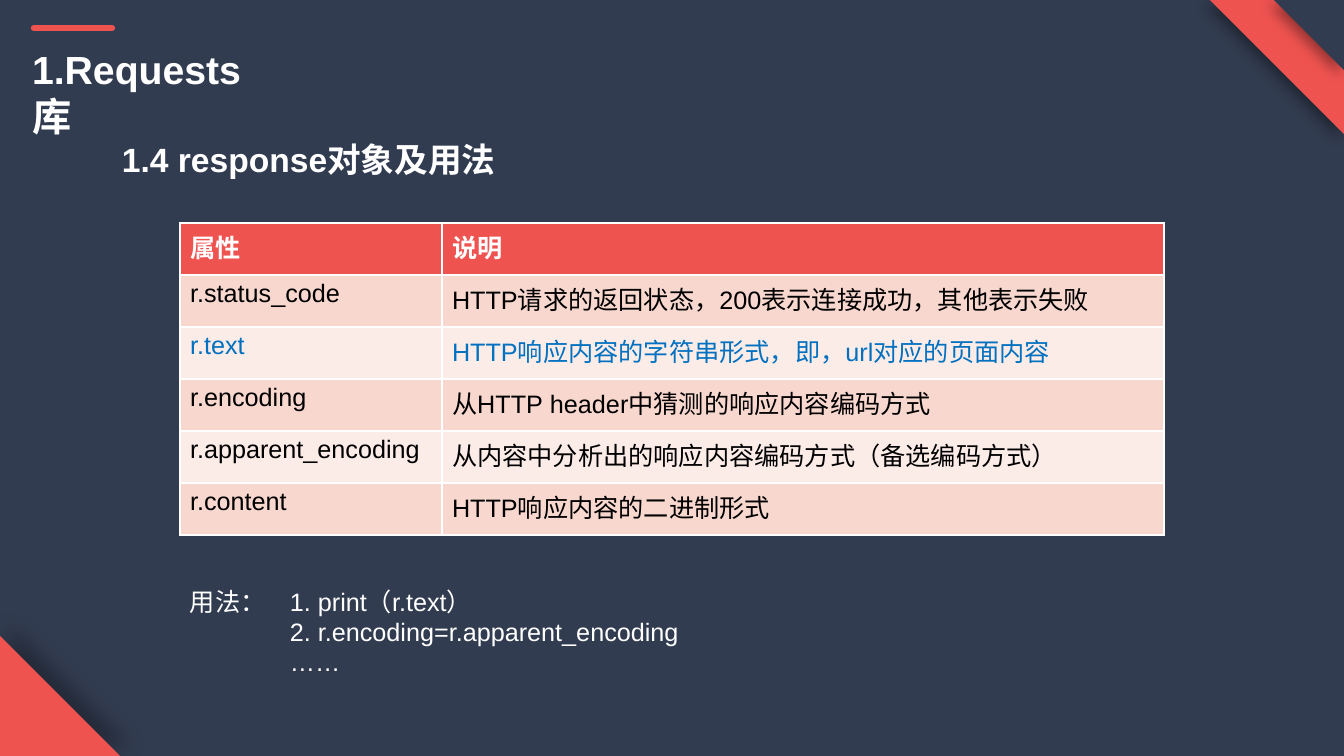
"""Build the slide on the response object of the Requests library."""
from lxml import etree
from pptx import Presentation, util as u
from pptx.dml.color import RGBColor
from pptx.enum import shapes, text
from pptx.oxml import parse_xml
from pptx.oxml.ns import nsdecls, qn

SCALE = 914400 / 100.8
NAVY, RED, WHITE, BLACK, BLUE = "323C50", "EF5350", "FFFFFF", "000000", "0070C0"
BANDS = ["F8D7CE", "FCECE8"]


def px(*lengths):
    return [u.Emu(round(length * SCALE)) for length in lengths]


def style(paragraph, size, color, bold=False):
    paragraph.font.name = "Arial"
    paragraph.font.size = u.Pt(size)
    paragraph.font.bold = bold
    paragraph.font.color.rgb = RGBColor.from_string(color)


deck = Presentation()
deck.slide_width, deck.slide_height = px(1344, 756)
page = deck.slides.add_slide(deck.slide_layouts[5])
page.background.fill.solid()
page.background.fill.fore_color.rgb = RGBColor.from_string(NAVY)

corners = [
    (1210, 0, 134, 180, RED, 40, 10, 5, 135),
    (0, 636, 120, 0, RED, 30, 15, 10, 315),
    (1274, 0, 70, 180, NAVY, 40, 10, 5, 135),
]
for left, top, side, turn, color, alpha, blur, distance, angle in corners:
    corner = page.shapes.add_shape(
        shapes.MSO_SHAPE.RIGHT_TRIANGLE, *px(left, top, side, side))
    corner.rotation = turn
    corner.fill.solid()
    corner.fill.fore_color.rgb = RGBColor.from_string(color)
    corner.line.fill.background()
    corner.shadow.inherit = False
    effects = corner._element.spPr.find(qn("a:effectLst"))
    effects.append(parse_xml(
        f'<a:outerShdw {nsdecls("a")} blurRad="{u.Pt(blur)}" dist="{u.Pt(distance)}" '
        f'dir="{angle * 60000}" algn="ctr" rotWithShape="0"><a:srgbClr val="{BLACK}">'
        f'<a:alpha val="{alpha * 1000}"/></a:srgbClr></a:outerShdw>'))

accent = page.shapes.add_connector(
    shapes.MSO_CONNECTOR.STRAIGHT, *px(34, 28, 112, 28))
accent.line.color.rgb = RGBColor.from_string(RED)
accent.line.width = u.Pt(4.5)
accent.line._ln.set("cap", "rnd")
etree.SubElement(accent._element.spPr, qn("a:effectLst"))

title = page.shapes.title
title.left, title.top, title.width, title.height = px(22, 40, 240, 57)
title.text_frame.text = "1.Requests库"
title.text_frame.word_wrap = True
title.text_frame.auto_size = text.MSO_AUTO_SIZE.NONE
title.text_frame.vertical_anchor = text.MSO_ANCHOR.TOP
title.text_frame.paragraphs[0].alignment = text.PP_ALIGN.LEFT
style(title.text_frame.paragraphs[0], 28, WHITE, True)

subtitle = page.shapes.add_textbox(*px(112, 134, 1098, 99))
subtitle.text_frame.word_wrap = True
subtitle.text_frame.text = "1.4 response对象及用法"
style(subtitle.text_frame.paragraphs[0], 24, WHITE, True)

rows = [
    ("属性", "说明"),
    ("r.status_code", "HTTP请求的返回状态，200表示连接成功，其他表示失败"),
    ("r.text", "HTTP响应内容的字符串形式，即，url对应的页面内容"),
    ("r.encoding", "从HTTP\u00a0header中猜测的响应内容编码方式"),
    ("r.apparent_encoding", "从内容中分析出的响应内容编码方式（备选编码方式）"),
    ("r.content", "HTTP响应内容的二进制形式"),
]
attributes = page.shapes.add_table(len(rows), 2, *px(180, 223, 984, 312)).table
for column, width in zip(attributes.columns, px(262, 722)):
    column.width = width
for index, row in enumerate(rows):
    header = index == 0
    fill = RED if header else BANDS[(index - 1) % 2]
    color = WHITE if header else BLUE if row[0] == "r.text" else BLACK
    for cell, wording in zip(attributes.rows[index].cells, row):
        cell.text = wording
        cell.fill.solid()
        cell.fill.fore_color.rgb = RGBColor.from_string(fill)
        style(cell.text_frame.paragraphs[0], 18, color, header)

usage = page.shapes.add_textbox(*px(180, 581, 686, 102))
usage.text_frame.word_wrap = True
usage.text_frame.text = "用法：\t1. print（r.text）\n2. r.encoding=r.apparent_encoding\n……"
indent = px(100)[0]
for index, paragraph in enumerate(usage.text_frame.paragraphs):
    style(paragraph, 18, WHITE)
    properties = paragraph._p.get_or_add_pPr()
    properties.set("marL", str(indent))
    properties.set("indent", str(-indent if index == 0 else 0))

deck.save("out.pptx")
